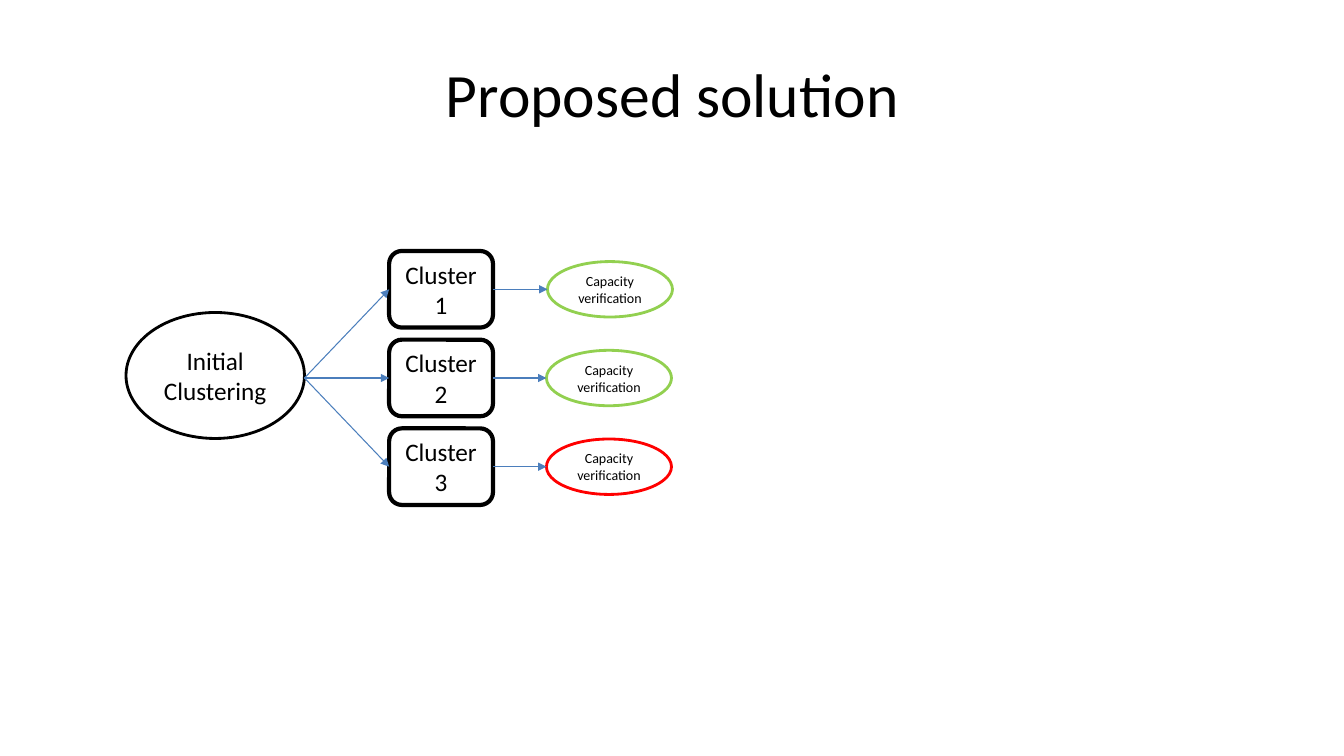
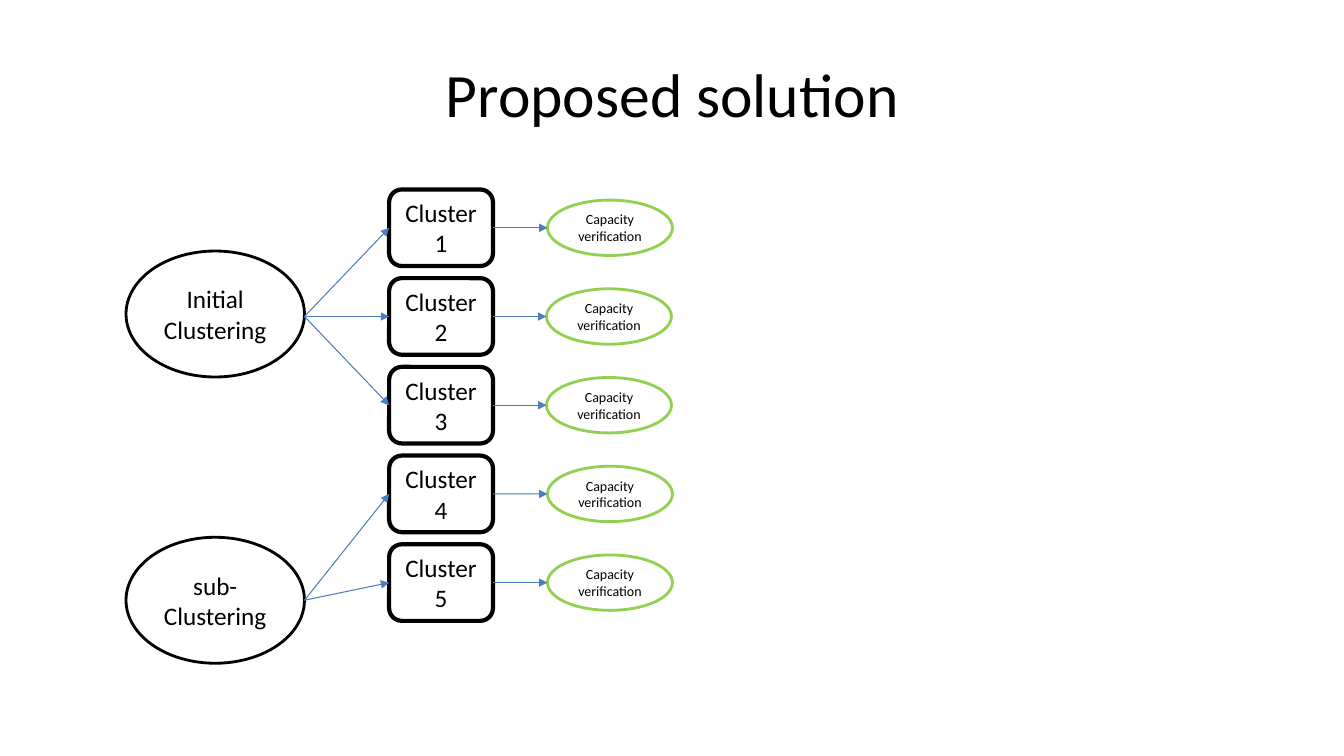
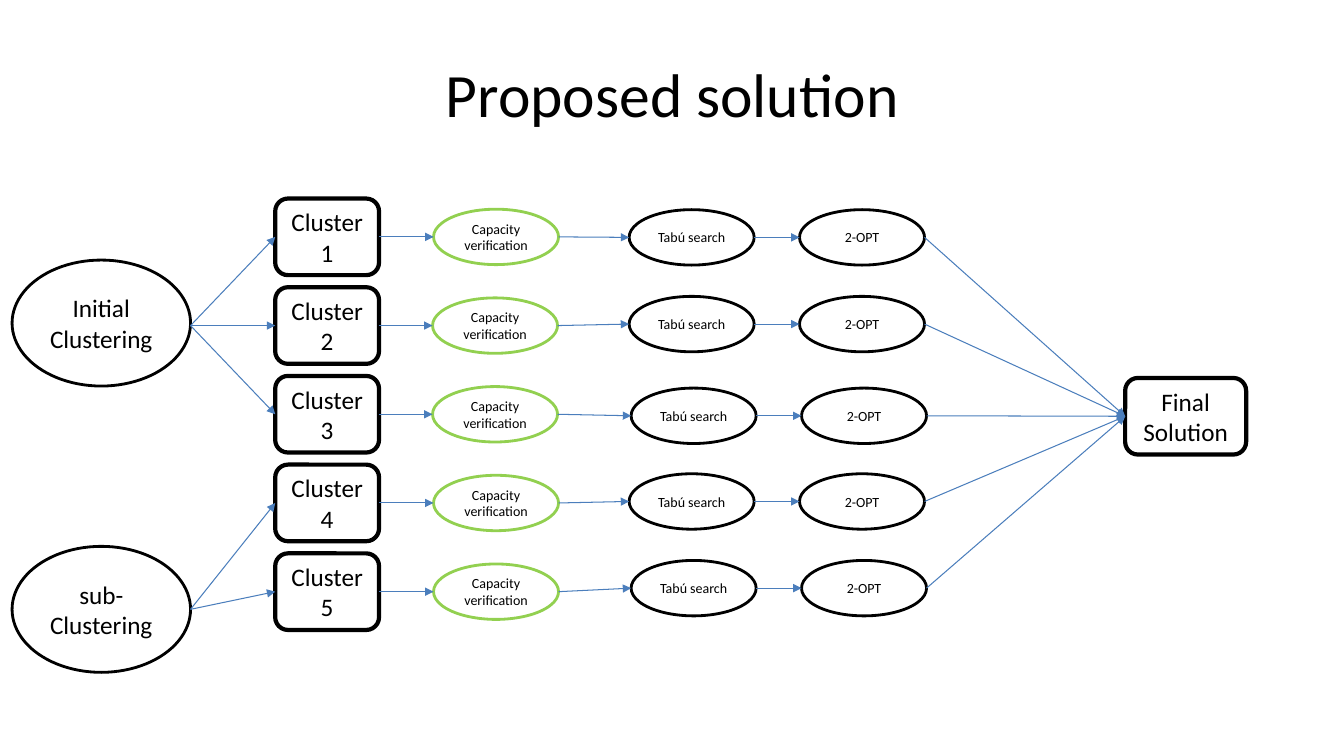
import pptx
import pptx.util
import pptx.dml.color
import pptx.enum.shapes
import pptx.enum.text
from lxml import etree
from pptx.oxml.ns import qn

Inches = pptx.util.Inches
Pt = pptx.util.Pt
SHAPES = pptx.enum.shapes.MSO_SHAPE

COLORS = {"ink": "000000", "paper": "FFFFFF", "arrow": "4B7EBC",
          "passed": "92D050", "failed": "FF0000"}
FONT = "Calibri"

# Flow geometry in inches; column offsets count from the left edge of the flow
ROW_STEP = 0.88
CLUSTER_WIDTH, CLUSTER_HEIGHT = 1.03, 0.76
STEP_WIDTH, STEP_HEIGHT = 1.24, 0.55
CLUSTER_OFFSET = 2.61
CHECK_OFFSETS = [4.18, 4.17, 4.17, 4.18, 4.18]
SEARCH_PLACES = [(6.24, 2.08), (6.24, 2.94), (6.26, 3.85), (6.24, 4.7), (6.26, 5.56)]
OPT_SHIFT = 1.69


def color(name):
    return pptx.dml.color.RGBColor.from_string(COLORS[name])


class FlowDeck:
    """Holds the shared style and the slide being drawn."""

    def __init__(self):
        self.deck = pptx.Presentation()
        self.deck.slide_width = Inches(13.33)
        self.deck.slide_height = Inches(7.5)
        self.slide = None

    def new_slide(self, title):
        self.slide = self.deck.slides.add_slide(self.deck.slide_layouts[6])
        box = self.slide.shapes.add_textbox(
            Inches(0.67), Inches(0.3), Inches(12), Inches(1.25))
        self.label(box, title, 44)

    def label(self, shape, text, size):
        frame = shape.text_frame
        frame.word_wrap = True
        frame.vertical_anchor = pptx.enum.text.MSO_ANCHOR.MIDDLE
        frame.text = text
        para = frame.paragraphs[0]
        para.alignment = pptx.enum.text.PP_ALIGN.CENTER
        font = para.runs[0].font
        font.name, font.size = FONT, Pt(size)
        font.color.rgb = color("ink")

    def node(self, kind, text, place, extent, size, weight, outline="ink"):
        left, top = place
        width, height = extent
        shape = self.slide.shapes.add_shape(
            kind, Inches(left), Inches(top), Inches(width), Inches(height))
        shape.shadow.inherit = False
        shape.fill.solid()
        shape.fill.fore_color.rgb = color("paper")
        shape.line.color.rgb = color(outline)
        shape.line.width = Pt(weight)
        self.label(shape, text, size)
        return shape

    def block(self, text, left, top, width=CLUSTER_WIDTH):
        return self.node(SHAPES.ROUNDED_RECTANGLE, text, (left, top),
                         (width, CLUSTER_HEIGHT), 18, 3)

    def source(self, text, left, top):
        return self.node(SHAPES.OVAL, text, (left, top), (1.77, 1.25), 18, 2)

    def step(self, text, left, top, outline="ink"):
        return self.node(SHAPES.OVAL, text, (left, top),
                         (STEP_WIDTH, STEP_HEIGHT), 10, 2, outline)

    def arrow(self, start, finish, start_y=None):
        """Runs from the right side of start to the left side of finish."""
        if start_y is None:
            start_y = start.top + start.height // 2
        line = self.slide.shapes.add_connector(
            pptx.enum.shapes.MSO_CONNECTOR.STRAIGHT,
            start.left + start.width, start_y,
            finish.left, finish.top + finish.height // 2)
        if start.auto_shape_type == SHAPES.ROUNDED_RECTANGLE:
            line.begin_connect(start, 3)
        if finish.auto_shape_type == SHAPES.ROUNDED_RECTANGLE:
            line.end_connect(finish, 1)
        line.line.color.rgb = color("arrow")
        line.line.width = Pt(0.75)
        properties = line.element.spPr
        etree.SubElement(properties.find(qn("a:ln")), qn("a:tailEnd"), type="triangle")
        etree.SubElement(properties, qn("a:effectLst"))

    def clustering(self, left, top, outcomes):
        """Draws the sources, clusters and checks; returns the checks."""
        clusters, checks = [], []
        for row, outcome in enumerate(outcomes):
            row_top = top + row * ROW_STEP
            cluster = self.block(f"Cluster {row + 1}", left + CLUSTER_OFFSET, row_top)
            check_top = row_top + (CLUSTER_HEIGHT - STEP_HEIGHT) / 2
            check = self.step("Capacity verification", left + CHECK_OFFSETS[row],
                              check_top, outcome)
            self.arrow(cluster, check)
            clusters.append(cluster)
            checks.append(check)

        # The first fan starts level with the second cluster
        initial = self.source("Initial Clustering", left, top + 0.61)
        level = clusters[1].top + clusters[1].height // 2
        for cluster in clusters[:3]:
            self.arrow(initial, cluster, level)
        if clusters[3:]:
            again = self.source("sub- Clustering", left, top + 3.45)
            for cluster in clusters[3:]:
                self.arrow(again, cluster)
        return checks

    def routing(self, checks):
        """Takes each checked cluster through to the final solution."""
        final = self.block("Final Solution", 11.16, 3.75, 1.2)
        for check, (left, top) in zip(checks, SEARCH_PLACES):
            search = self.step("Tabú search", left, top)
            opt = self.step("2-OPT", left + OPT_SHIFT, top)
            self.arrow(check, search)
            self.arrow(search, opt)
            self.arrow(opt, final)


def main():
    flow = FlowDeck()
    title = "Proposed solution"

    # First clustering: one cluster fails the check
    flow.new_slide(title)
    flow.clustering(1.25, 2.49, ["passed", "passed", "failed"])

    # Sub-clustering: all clusters pass
    flow.new_slide(title)
    flow.clustering(1.25, 1.88, ["passed"] * 5)

    # Complete flow
    flow.new_slide(title)
    flow.routing(flow.clustering(0.12, 1.97, ["passed"] * 5))

    flow.deck.save("out.pptx")


if __name__ == "__main__":
    main()
